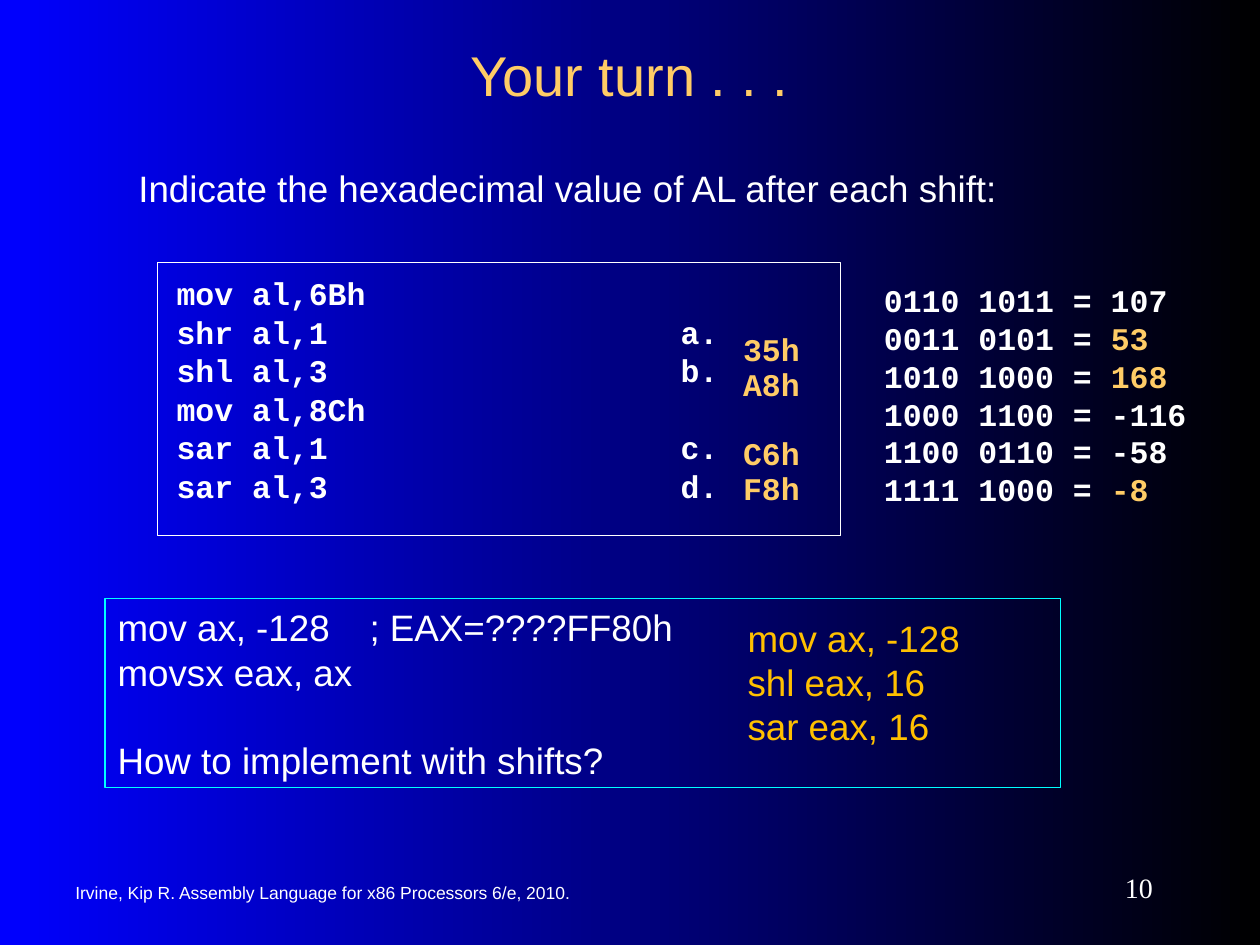
from lxml import etree
from pptx import Presentation
from pptx.dml.color import RGBColor
from pptx.enum.shapes import MSO_SHAPE
from pptx.enum.text import MSO_ANCHOR, PP_ALIGN
from pptx.oxml.ns import qn
from pptx.util import Cm, Pt

LEFT, CENTER, RIGHT = PP_ALIGN.LEFT, PP_ALIGN.CENTER, PP_ALIGN.RIGHT
TOP, MIDDLE = MSO_ANCHOR.TOP, MSO_ANCHOR.MIDDLE
RECTANGLE = MSO_SHAPE.RECTANGLE
TITLE_ONLY = 5
COLORS = {"blue": "0000FF", "black": "000000", "white": "FFFFFF",
          "gold": "FFCC66", "amber": "FFC000", "cyan": "00FFFF"}
CODE = {"font": "Courier New", "size": 18, "bold": True}


def rgb(name):
    return RGBColor.from_string(COLORS[name])


def add_tab(para, position):
    tabs = etree.SubElement(para._p.get_or_add_pPr(), qn("a:tabLst"))
    etree.SubElement(tabs, qn("a:tab"), pos=str(Cm(position)), algn="l")


def write(shape, lines, font="Arial", size=21, color="white", bold=False,
          align=LEFT, anchor=TOP, insets=(0.25, 0.13), pitch=None, gap=0,
          gaps_before=None, tab=None):
    """Fill a shape; a line is a string or a list of (text, color) spans.

    pitch is the line height and gap the space between lines, in points;
    gaps_before overrides the gap for single lines, by index.
    """
    frame = shape.text_frame
    frame.word_wrap = True
    frame.vertical_anchor = anchor
    frame.margin_left = frame.margin_right = Cm(insets[0])
    frame.margin_top, frame.margin_bottom = Cm(insets[1]), Cm(0.13)
    for index, line in enumerate(lines):
        para = frame.paragraphs[0] if index == 0 else frame.add_paragraph()
        para.alignment = align
        para.line_spacing = Pt(pitch or size * 1.2)
        para.space_before = Pt((gaps_before or {}).get(index, gap if index else 0))
        if tab:
            add_tab(para, tab)
        for text, shade in [(line, color)] if isinstance(line, str) else line:
            span = para.add_run()
            span.text = text
            span.font.name, span.font.size = font, Pt(size)
            span.font.bold = bold
            span.font.color.rgb = rgb(shade)


class SlideBuilder:
    def __init__(self, slide):
        self.slide = slide

    def background(self, start, end):
        fill = self.slide.background.fill
        fill.gradient()
        fill.gradient_angle = 0
        for stop, name, position in zip(fill.gradient_stops, (start, end), (0, 1)):
            stop.color.rgb = rgb(name)
            stop.position = position

    def title(self, text, area, **style):
        title = self.slide.shapes.title
        title.left, title.top, title.width, title.height = map(Cm, area)
        write(title, [text], **style)

    def text(self, lines, area, **style):
        write(self.slide.shapes.add_textbox(*map(Cm, area)), lines, **style)

    def outlined_box(self, lines, area, border, **style):
        box = self.slide.shapes.add_shape(RECTANGLE, *map(Cm, area))
        box.shadow.inherit = False
        box.fill.background()
        box.line.color.rgb = rgb(border)
        box.line.width = Pt(0.75)
        write(box, lines, **style)


def main():
    deck = Presentation()
    deck.slide_width, deck.slide_height = Cm(25.4), Cm(19.05)
    page = SlideBuilder(deck.slides.add_slide(deck.slide_layouts[TITLE_ONLY]))
    page.background("blue", "black")

    page.title("Your turn . . .", (1.9, 0.64, 21.59, 1.69), size=32,
               color="gold", align=CENTER, anchor=MIDDLE)
    page.text(["Indicate the hexadecimal value of AL after each shift:"],
              (2.54, 2.96, 20.11, 1.65), insets=(0.25, 0.38))

    page.outlined_box(
        ["mov al,6Bh", "shr al,1\ta.", "shl al,3\tb.",
         "mov al,8Ch", "sar al,1\tc.", "sar al,3\td."],
        (3.18, 5.29, 13.76, 5.5), "white", insets=(0.38, 0.62),
        pitch=10.8, gap=11.2, tab=10.16, **CODE)
    page.text(["35h", "A8h", "C6h", "F8h"], (14.6, 5.33, 8.69, 5.5),
              color="gold", insets=(0.38, 1.78), pitch=8.64, gap=11.2,
              gaps_before={2: 31.04}, **CODE)
    page.text(
        ["0110 1011 = 107",
         [("0011 0101 = ", "white"), ("53", "gold")],
         [("1010 1000 = ", "white"), ("168", "gold")],
         "1000 1100 = -116",
         "1100 0110 = -58",
         [("1111 1000 = ", "white"), ("-8", "gold")]],
        (17.57, 5.5, 6.78, 4.83), insets=(0.25, 0.17), **CODE)

    page.outlined_box(
        ["mov ax, -128\t; EAX=????FF80h", "movsx eax, ax",
         "How to implement with shifts?"],
        (2.12, 12.07, 19.26, 3.81), "cyan", gaps_before={2: 25.2}, tab=5.08)
    page.text(["mov ax, -128", "shl eax, 16", "sar eax, 16"],
              (14.82, 12.28, 6.14, 2.92), color="amber")

    page.text(["Irvine, Kip R. Assembly Language for x86 Processors 6/e, 2010."],
              (1.27, 17.57, 12.28, 0.85), size=10, anchor=MIDDLE)
    page.text(["10"], (20.74, 17.36, 2.75, 1.06), font="Times New Roman",
              size=16, align=RIGHT, anchor=MIDDLE)
    deck.save("out.pptx")


if __name__ == "__main__":
    main()
